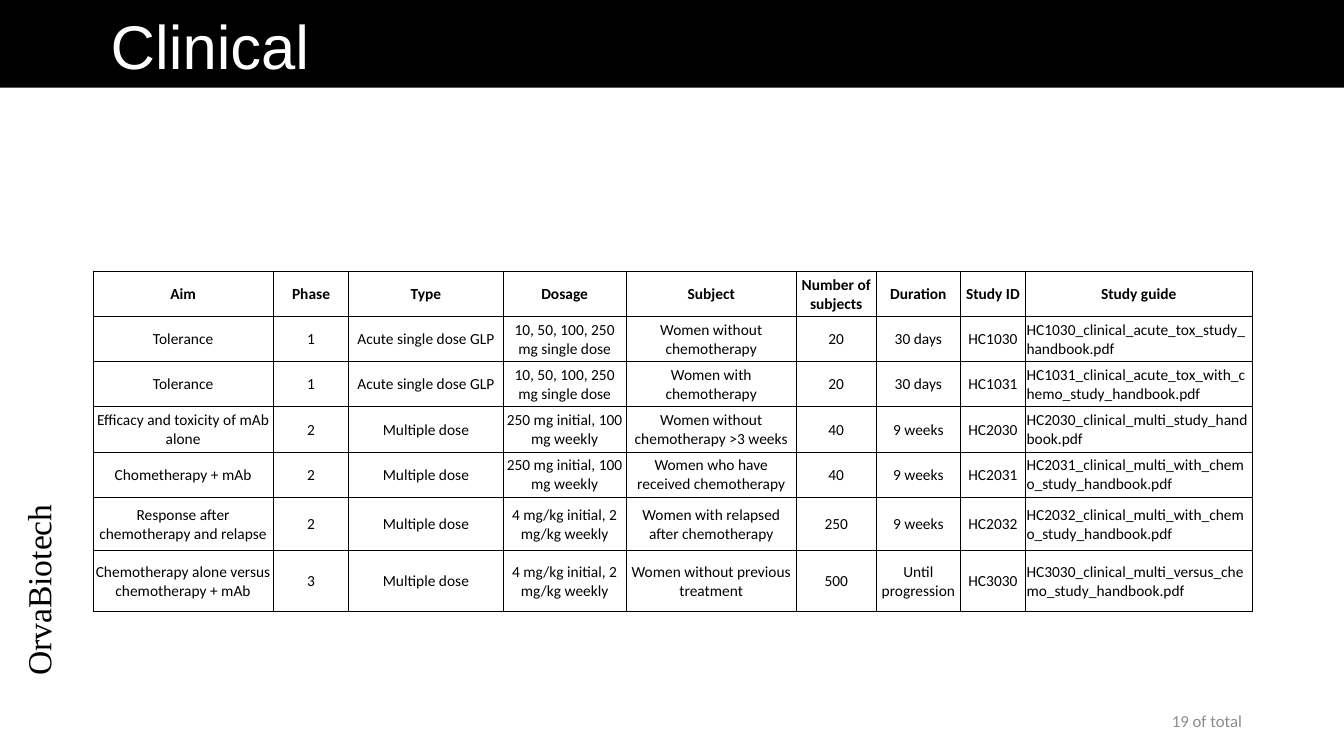
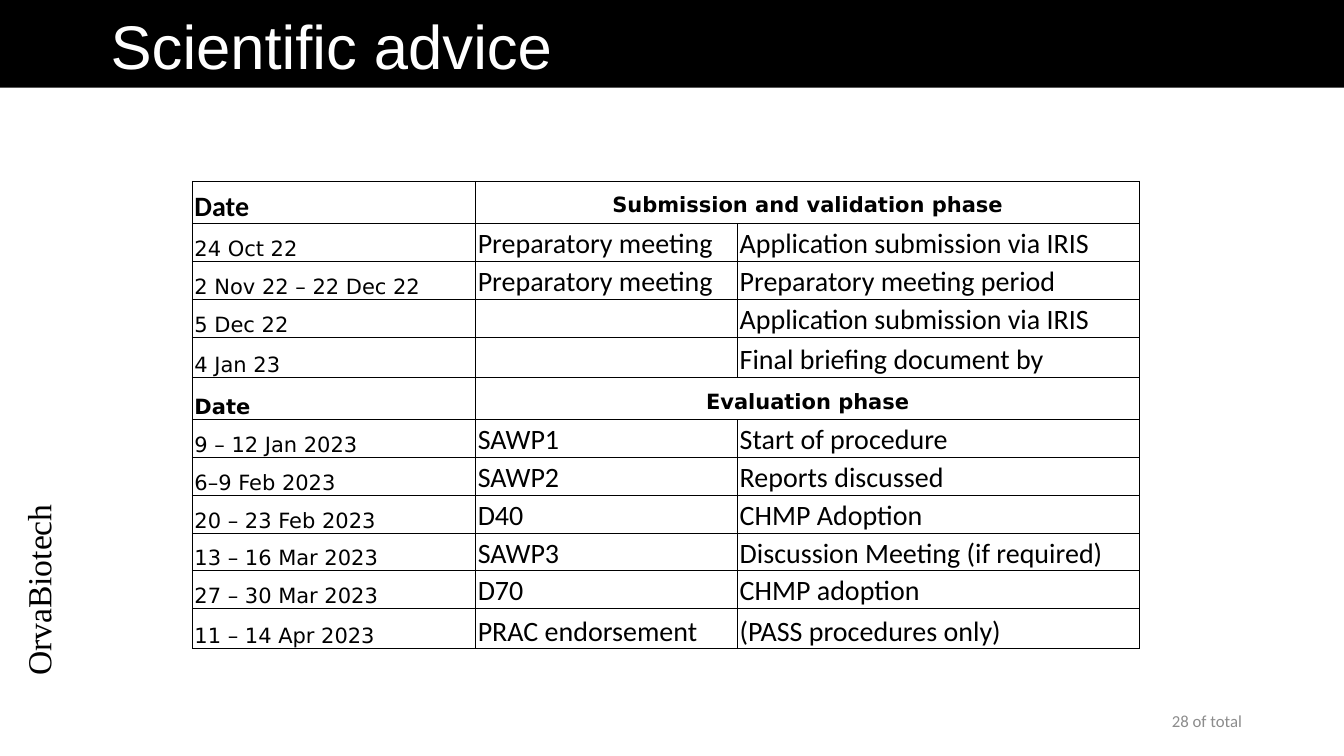
from dataclasses import dataclass

from lxml.etree import SubElement
from pptx import Presentation
from pptx.dml.color import RGBColor
from pptx.enum.text import MSO_ANCHOR as Anchor, MSO_AUTO_SIZE as AutoSize, PP_ALIGN as Align
from pptx.oxml.ns import qn
from pptx.util import Cm, Pt


@dataclass(frozen=True)
class Font:
    name: str
    size: float
    color: str = "000000"
    bold: bool = False


@dataclass(frozen=True)
class Theme:
    black: str = "000000"
    white: str = "FFFFFF"
    thin: float = 0.5
    thick: float = 1
    title: Font = Font("Arial", 44, "FFFFFF")
    brand: Font = Font("Times New Roman", 24)
    footer: Font = Font("Calibri", 12, "8C8C8C")
    study: Font = Font("Calibri", 11)
    study_head: Font = Font("Calibri", 11, bold=True)
    event: Font = Font("Calibri", 20)
    event_head: Font = Font("Calibri", 20, bold=True)
    date: Font = Font("DejaVu Sans", 15)
    phase: Font = Font("DejaVu Sans", 15, bold=True)


THEME = Theme()
SLIDE_W, SLIDE_H = 33.87, 19.05

STUDY_WIDTHS = [4.55, 1.9, 3.89, 3.1, 4.29, 2.01, 2.13, 1.63, 5.72]
STUDY_HEIGHTS = [1.14] * 5 + [1.34, 1.54]
STUDIES = [
    ("Aim", "Phase", "Type", "Dosage", "Subject", "Number of subjects",
     "Duration", "Study ID", "Study guide"),
    ("Tolerance", "1", "Acute single dose GLP", "10, 50, 100, 250 mg single dose",
     "Women without chemotherapy", "20", "30 days", "HC1030",
     "HC1030_clinical_acute_tox_study_handbook.pdf"),
    ("Tolerance", "1", "Acute single dose GLP", "10, 50, 100, 250 mg single dose",
     "Women with chemotherapy", "20", "30 days", "HC1031",
     "HC1031_clinical_acute_tox_with_chemo_study_handbook.pdf"),
    ("Efficacy and toxicity of mAb alone", "2", "Multiple dose",
     "250 mg initial, 100 mg weekly", "Women without chemotherapy >3 weeks",
     "40", "9 weeks", "HC2030", "HC2030_clinical_multi_study_handbook.pdf"),
    ("Chometherapy + mAb", "2", "Multiple dose", "250 mg initial, 100 mg weekly",
     "Women who have received chemotherapy", "40", "9 weeks", "HC2031",
     "HC2031_clinical_multi_with_chemo_study_handbook.pdf"),
    ("Response after chemotherapy and relapse", "2", "Multiple dose",
     "4 mg/kg initial, 2 mg/kg weekly", "Women with relapsed after chemotherapy",
     "250", "9 weeks", "HC2032", "HC2032_clinical_multi_with_chemo_study_handbook.pdf"),
    ("Chemotherapy alone versus chemotherapy + mAb", "3", "Multiple dose",
     "4 mg/kg initial, 2 mg/kg weekly", "Women without previous treatment",
     "500", "Until progression", "HC3030",
     "HC3030_clinical_multi_versus_chemo_study_handbook.pdf"),
]

ADVICE_WIDTHS = [7.14, 6.6, 10.13]
ADVICE_HEIGHTS = [1.07, 0.95, 0.95, 0.95, 1.02, 1.07] + [0.95] * 5 + [1.02]
ADVICE = [
    ("Date", "Submission and validation phase"),
    ("24 Oct 22", "Preparatory meeting", "Application submission via IRIS"),
    ("2 Nov 22 – 22 Dec 22", "Preparatory meeting", "Preparatory meeting period"),
    ("5 Dec 22", "", "Application submission via IRIS"),
    ("4 Jan 23", "", "Final briefing document by"),
    ("Date", "Evaluation phase"),
    ("9 – 12 Jan 2023", "SAWP1", "Start of procedure"),
    ("6–9 Feb 2023", "SAWP2", "Reports discussed"),
    ("20 – 23 Feb 2023", "D40", "CHMP Adoption"),
    ("13 – 16 Mar 2023", "SAWP3", "Discussion Meeting (if required)"),
    ("27 – 30 Mar 2023", "D70", "CHMP adoption"),
    ("11 – 14 Apr 2023", "PRAC endorsement", "(PASS procedures only)"),
]


def rgb(color):
    return RGBColor.from_string(color)


def write(tf, text, font, align=Align.LEFT, spacing=None):
    """Fill the first paragraph of a text frame and format it."""
    p = tf.paragraphs[0]
    if text:
        p.add_run().text = text
    p.alignment = align
    if spacing:
        p.line_spacing = spacing
    p.font.name, p.font.size, p.font.bold = font.name, Pt(font.size), font.bold
    p.font.color.rgb = rgb(font.color)


def add_label(s, box, text, font, align, anchor=Anchor.TOP, spacing=None):
    sp = s.shapes.add_textbox(*map(Cm, box))
    sp.text_frame.word_wrap = True
    sp.text_frame.vertical_anchor = anchor
    write(sp.text_frame, text, font, align, spacing)
    return sp


def add_titled_slide(prs, title, footer):
    """Add a slide with the title band, the upright brand and the footer."""
    s = prs.slides.add_slide(prs.slide_layouts[5])
    band = s.shapes.title
    band.left, band.top, band.width, band.height = map(Cm, (0, 0, SLIDE_W, 2.21))
    band.fill.solid()
    band.fill.fore_color.rgb = rgb(THEME.black)
    tf = band.text_frame
    tf.auto_size = AutoSize.NONE
    tf.vertical_anchor = Anchor.BOTTOM
    tf.margin_left = Cm(2.79)
    write(tf, title, THEME.title, spacing=0.9)

    brand = add_label(s, (-1.55, 14.3, 5.28, 1.14), "OrvaBiotech", THEME.brand,
                      Align.CENTER, spacing=0.8)
    brand.rotation = 270
    add_label(s, (23.93, 17.65, 7.62, 1.02), footer, THEME.footer,
              Align.RIGHT, Anchor.MIDDLE)
    return s


def add_grid(s, left, top, widths, heights):
    """Add an unstyled table with the given column widths and row heights."""
    box = map(Cm, (left, top, sum(widths), sum(heights)))
    table = s.shapes.add_table(len(heights), len(widths), *box).table
    table.first_row = table.horz_banding = False
    for column, width in zip(table.columns, widths):
        column.width = Cm(width)
    for row, height in zip(table.rows, heights):
        row.height = Cm(height)
    return table


def set_borders(cell, widths):
    """Draw the left, right, top and bottom borders, in points."""
    tcPr = cell._tc.get_or_add_tcPr()
    for i, (side, width) in enumerate(zip("LRTB", widths)):
        ln = SubElement(tcPr, qn(f"a:ln{side}"), w=str(Pt(width)))
        fill = SubElement(ln, qn("a:solidFill"))
        SubElement(fill, qn("a:srgbClr"), val=THEME.black)
        tcPr.insert(i, ln)


def format_cell(cell, text, font, align, anchor, margins, borders):
    cell.fill.solid()
    cell.fill.fore_color.rgb = rgb(THEME.white)
    cell.vertical_anchor = anchor
    (cell.margin_left, cell.margin_top,
     cell.margin_right, cell.margin_bottom) = map(Cm, margins)
    set_borders(cell, borders)
    write(cell.text_frame, text, font, align)


def add_study_table(s):
    table = add_grid(s, 2.34, 6.83, STUDY_WIDTHS, STUDY_HEIGHTS)
    guide = len(STUDY_WIDTHS) - 1
    for r, study in enumerate(STUDIES):
        for c, text in enumerate(study):
            font = THEME.study if r else THEME.study_head
            align = Align.LEFT if r and c == guide else Align.CENTER
            format_cell(table.cell(r, c), text, font, align, Anchor.MIDDLE,
                        (0.03, 0.03, 0.03, 0), [THEME.thin] * 4)


def add_advice_table(s):
    """Add the timetable; a row of two texts heads a phase and spans the rest."""
    table = add_grid(s, 4.85, 4.57, ADVICE_WIDTHS, ADVICE_HEIGHTS)
    heads = [r for r, row in enumerate(ADVICE) if len(row) == 2]
    last_row, last_col = len(ADVICE) - 1, len(ADVICE_WIDTHS) - 1
    for r, row in enumerate(ADVICE):
        head = r in heads
        if head:
            table.cell(r, 1).merge(table.cell(r, last_col))
        for c in range(last_col + 1):
            text = row[c] if c < len(row) else ""
            if r == c == 0:
                font = THEME.event_head
            elif head:
                font = THEME.phase
            else:
                font = THEME.event if c else THEME.date
            title = head and c > 0
            edges = (head or c == 0, head or c == last_col,
                     head or r - 1 in heads, head or r + 1 in heads or r == last_row)
            format_cell(table.cell(r, c), text, font,
                        Align.CENTER if title else Align.LEFT, Anchor.BOTTOM,
                        (0.3, 0.15, 0.3, 0.15) if title else (0.05, 0.05, 0.05, 0),
                        [THEME.thick if edge else THEME.thin for edge in edges])


def main():
    prs = Presentation()
    prs.slide_width, prs.slide_height = Cm(SLIDE_W), Cm(SLIDE_H)
    add_study_table(add_titled_slide(prs, "Clinical", "19 of total"))
    add_advice_table(add_titled_slide(prs, "Scientific advice", "28 of total"))
    prs.save("out.pptx")


if __name__ == "__main__":
    main()
